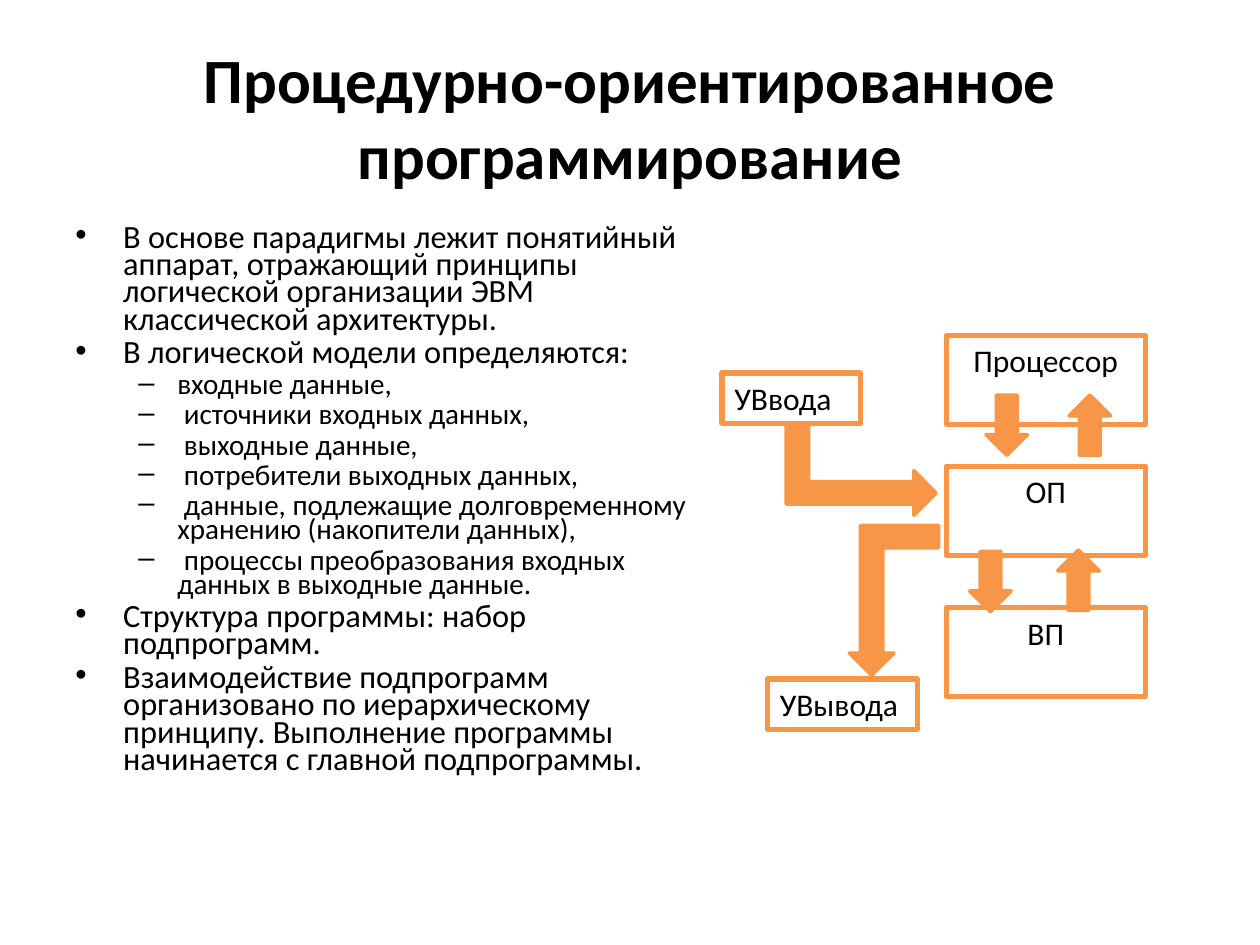
from lxml.etree import SubElement
from pptx import Presentation
from pptx.dml.color import RGBColor
from pptx.enum.shapes import MSO_SHAPE
from pptx.enum.text import MSO_ANCHOR, PP_ALIGN
from pptx.oxml.ns import qn
from pptx.util import Inches, Pt

COLORS = {"text": "000000", "accent": "F79646"}
FONT = "Calibri"
TITLE = "Процедурно-ориентированное программирование"
OUTLINE = [
    (0, "В основе парадигмы лежит понятийный аппарат, отражающий принципы "
        "логической организации ЭВМ классической архитектуры."),
    (0, "В логической модели определяются:"),
    (1, "входные данные,"),
    (1, " источники входных данных,"),
    (1, " выходные данные,"),
    (1, " потребители выходных данных,"),
    (1, " данные, подлежащие долговременному хранению (накопители данных),"),
    (1, " процессы преобразования входных данных в выходные данные."),
    (0, "Структура программы: набор подпрограмм."),
    (0, "Взаимодействие подпрограмм организовано по иерархическому принципу. "
        "Выполнение программы начинается с главной подпрограммы."),
]
LEVELS = [
    {"size": 18.5, "bullet": "•", "margin": 0.38, "indent": -0.38},
    {"size": 16.6, "bullet": "–", "margin": 0.81, "indent": -0.31},
]
DEVICES = [("УВвода", 5.73, 2.96, 1.1), ("УВывода", 6.09, 5.39, 1.19)]
UNITS = [("Процессор", 2.66), ("ОП", 3.7), ("ВП", 4.82)]
STRAIGHT_ARROWS = [(8.41, 3.21, 270), (7.75, 3.21, 90),
                   (7.62, 4.45, 90), (8.32, 4.44, 270)]
BENT_ARROWS = [(6.48, 3.14, 90), (6.74, 4.17, 180)]


def color(name):
    """Return the named colour."""
    return RGBColor.from_string(COLORS[name])


def inches(*lengths):
    """Convert several lengths to inches."""
    return [Inches(length) for length in lengths]


def write(para, text, size=18, bold=False, align=PP_ALIGN.LEFT):
    """Put formatted text into a paragraph."""
    para.alignment = align
    span = para.add_run()
    span.text = text
    span.font.name = FONT
    span.font.size = Pt(size)
    span.font.bold = bold
    span.font.color.rgb = color("text")


def set_bullet(para, bullet, margin, indent):
    """Give a paragraph a bullet and a hanging indent."""
    properties = para._p.get_or_add_pPr()
    properties.set("marL", str(Inches(margin)))
    properties.set("indent", str(Inches(indent)))
    SubElement(properties, qn("a:buFont")).set("typeface", "Arial")
    SubElement(properties, qn("a:buChar")).set("char", bullet)


def add_title(page):
    """Fill and place the title placeholder."""
    title = page.shapes.title
    title.left, title.top, title.width, title.height = inches(0.5, 0.3, 9, 1.25)
    title.text_frame.vertical_anchor = MSO_ANCHOR.MIDDLE
    write(title.text_frame.paragraphs[0], TITLE, size=36, bold=True,
          align=PP_ALIGN.CENTER)


def add_outline(page):
    """Add the two-level bulleted list."""
    frame = page.shapes.add_textbox(*inches(0.5, 1.75, 5.23, 5.23)).text_frame
    frame.word_wrap = True
    for index, (depth, text) in enumerate(OUTLINE):
        level = LEVELS[depth]
        para = frame.add_paragraph() if index else frame.paragraphs[0]
        para.level = depth
        set_bullet(para, level["bullet"], level["margin"], level["indent"])
        para.line_spacing = 0.7
        para.space_before = Pt(0.2 * level["size"] if index else 0)
        write(para, text, size=level["size"])


def add_outlined(group, kind, bounds, line_width):
    """Add a shape with an accent outline and no shadow."""
    shape = group.shapes.add_shape(kind, *inches(*bounds))
    shape.shadow.inherit = False
    shape.line.color.rgb = color("accent")
    shape.line.width = Pt(line_width)
    return shape


def add_box(group, text, bounds, align):
    """Add a labelled block of the diagram."""
    box = add_outlined(group, MSO_SHAPE.RECTANGLE, bounds, 3)
    box.fill.background()
    frame = box.text_frame
    frame.word_wrap = True
    frame.vertical_anchor = MSO_ANCHOR.TOP
    write(frame.paragraphs[0], text, align=align)


def add_arrow(group, kind, bounds, rotation):
    """Add a filled and turned block arrow."""
    arrow = add_outlined(group, kind, bounds, 2)
    arrow.fill.solid()
    arrow.fill.fore_color.rgb = color("accent")
    arrow.rotation = rotation


def add_diagram(page):
    """Add the computer architecture diagram as one group."""
    group = page.shapes.add_group_shape()
    for text, left, top, width in DEVICES:
        add_box(group, text, (left, top, width, 0.4), PP_ALIGN.LEFT)
    for text, top in UNITS:
        add_box(group, text, (7.51, top, 1.58, 0.71), PP_ALIGN.CENTER)
    for left, top, rotation in STRAIGHT_ARROWS:
        add_arrow(group, MSO_SHAPE.RIGHT_ARROW, (left, top, 0.48, 0.33), rotation)
    for left, top, rotation in BENT_ARROWS:
        add_arrow(group, MSO_SHAPE.BENT_UP_ARROW, (left, top, 0.71, 1.19), rotation)


def main():
    """Build and save the slide."""
    deck = Presentation()
    deck.slide_width, deck.slide_height = inches(10, 7.5)
    page = deck.slides.add_slide(deck.slide_layouts[5])
    add_title(page)
    add_outline(page)
    add_diagram(page)
    deck.save("out.pptx")


if __name__ == "__main__":
    main()
